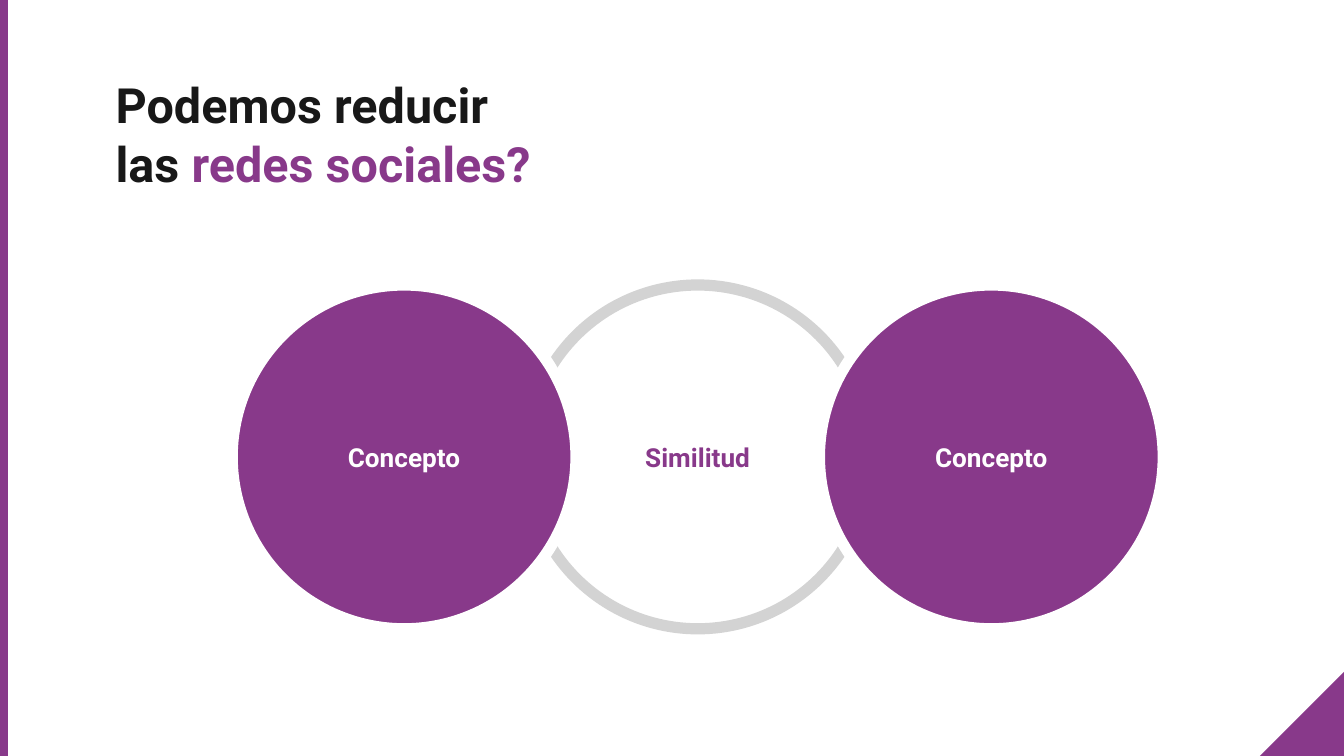
from dataclasses import dataclass

from pptx import Presentation
from pptx.dml.color import RGBColor
from pptx.enum.shapes import MSO_SHAPE as Preset
from pptx.enum.text import MSO_ANCHOR as Anchor, PP_ALIGN as Align
from pptx.util import Pt

COLORS = {"purple": "88398A", "ink": "181818", "white": "FFFFFF", "grey": "D3D3D3"}
FONT = {"name": "Roboto", "bold": True}
FRAME = {
    "word_wrap": True,
    "margin_left": Pt(7.2),
    "margin_right": Pt(7.2),
    "margin_top": Pt(7.2),
    "margin_bottom": Pt(7.2),
}
SLIDE_WIDTH, SLIDE_HEIGHT = 720, 405
CORNER = 45
DIAMETER = 184.2
CIRCLE_TOP = 152.7
FIRST_LEFT = 124.4
CIRCLE_STEP = 157.3


@dataclass
class Circle:
    label: str
    column: int
    fill: str
    outline: str
    ink: str


CIRCLES = [
    Circle("Similitud", 1, "white", "grey", "purple"),
    Circle("Concepto", 0, "purple", "white", "white"),
    Circle("Concepto", 2, "purple", "white", "white"),
]


def color(key: str) -> RGBColor:
    return RGBColor.from_string(COLORS[key])


def apply_format(target, values: dict) -> None:
    for attribute, value in values.items():
        setattr(target, attribute, value)


def add_run(paragraph, text: str, size: float, ink: str) -> None:
    run = paragraph.add_run()
    run.text = text
    apply_format(run.font, {**FONT, "size": Pt(size)})
    run.font.color.rgb = color(ink)


def add_filled(slide, preset, left: float, top: float, width: float, height: float, fill: str):
    shape = slide.shapes.add_shape(preset, Pt(left), Pt(top), Pt(width), Pt(height))
    shape.shadow.inherit = False
    shape.fill.solid()
    shape.fill.fore_color.rgb = color(fill)
    shape.line.fill.background()
    return shape


def add_circle(slide, circle: Circle) -> None:
    left = FIRST_LEFT + circle.column * CIRCLE_STEP
    disc = add_filled(slide, Preset.OVAL, left, CIRCLE_TOP, DIAMETER, DIAMETER, circle.fill)
    disc.line.color.rgb = color(circle.outline)
    disc.line.width = Pt(6)
    apply_format(disc.text_frame, {**FRAME, "vertical_anchor": Anchor.MIDDLE})
    label = disc.text_frame.paragraphs[0]
    label.alignment = Align.CENTER
    add_run(label, circle.label, 14, circle.ink)


def add_title(slide) -> None:
    title = slide.shapes.add_textbox(Pt(54.8), Pt(33.2), Pt(251), Pt(67.8))
    apply_format(title.text_frame, {**FRAME, "vertical_anchor": Anchor.TOP})
    heading = title.text_frame.paragraphs[0]
    add_run(heading, "Podemos reducir las ", 26, "ink")
    add_run(heading, "redes sociales?", 26, "purple")


def main() -> None:
    deck = Presentation()
    deck.slide_width, deck.slide_height = Pt(SLIDE_WIDTH), Pt(SLIDE_HEIGHT)
    slide = deck.slides.add_slide(deck.slide_layouts[6])

    corner = add_filled(slide, Preset.RIGHT_TRIANGLE, SLIDE_WIDTH - CORNER,
                        SLIDE_HEIGHT - CORNER, CORNER, CORNER, "purple")
    corner.element.spPr.xfrm.set("flipH", "1")
    add_filled(slide, Preset.RECTANGLE, 0, 0, 4.3, SLIDE_HEIGHT, "purple")
    add_title(slide)
    for circle in CIRCLES:
        add_circle(slide, circle)

    deck.save("out.pptx")


if __name__ == "__main__":
    main()
